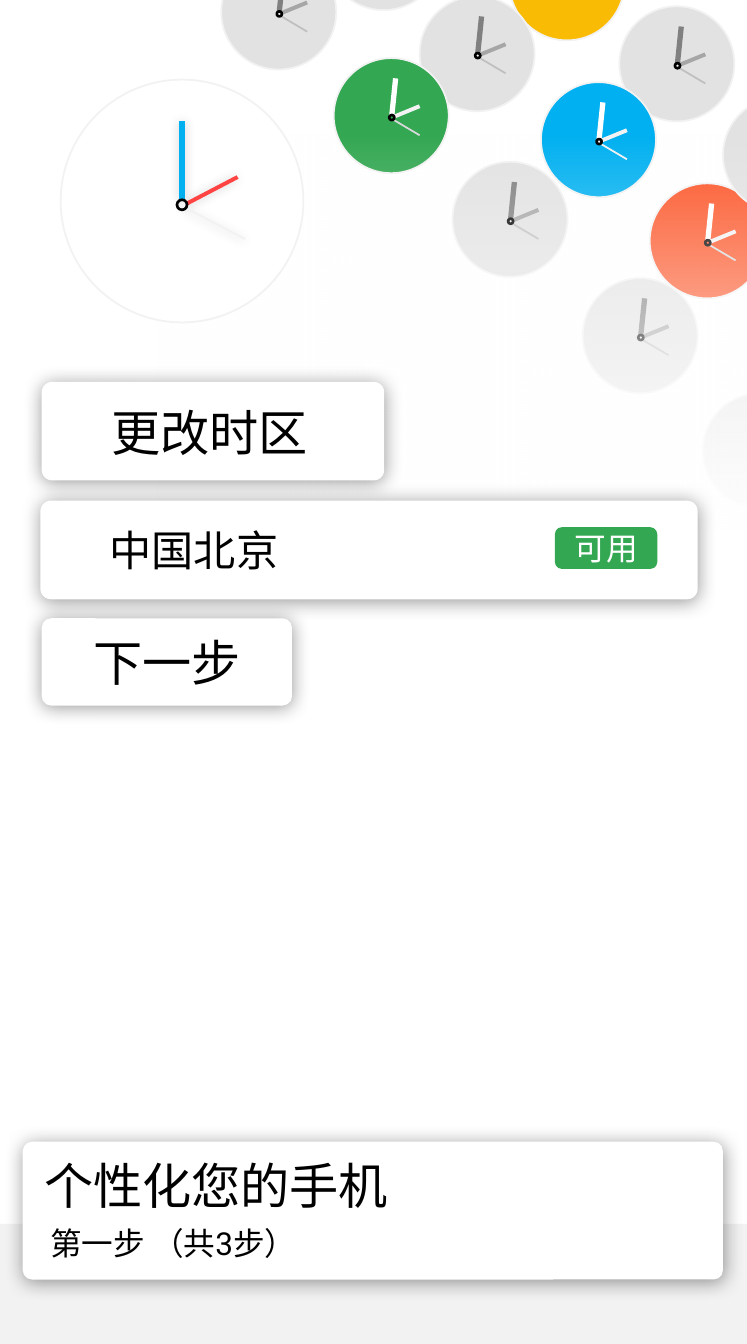
import pptx
import pptx.util
import pptx.dml.color
import pptx.enum.shapes
import pptx.enum.text
import pptx.oxml
import pptx.oxml.ns
from lxml import etree

Inches = pptx.util.Inches
SHAPE = pptx.enum.shapes.MSO_SHAPE
ALIGN = pptx.enum.text.PP_ALIGN

FONT = "Roboto"
SIZE = (5.91, 10.63)
COLORS = {
    "white": "FFFFFF", "black": "000000", "pale": "F2F2F2", "face": "E2E2E2",
    "silver": "D9D9D9", "light": "BFBFBF", "mid": "A6A6A6", "dark": "808080",
    "blue": "00B0F0", "yellow": "FABB05", "orange": "FC5528", "green": "33A752", "red": "FF4343",
}
GREY = ("dark", "mid", "light", "pale")
BLUE = ("white", "pale", "pale", "pale")
ORANGE = ("white", "pale", "silver", "orange")
GREEN = ("white", "pale", "silver", "green")
DIAL = 0.91
SMALL_CLOCKS = [
    (4.9, 0.05, "face", GREY), (4.28, 0.65, "blue", BLUE), (4.03, -0.59, "yellow", None),
    (3.32, -0.03, "face", GREY), (5.14, 1.45, "orange", ORANGE), (5.72, 0.77, "face", None),
    (2.64, 0.46, "green", GREEN), (3.58, 1.28, "face", GREY), (1.75, -0.36, "face", GREY),
    (2.58, -0.83, "face", None), (4.61, 2.2, "face", GREY), (5.56, 3.11, "face", None),
]
SMALL_HANDS = [(0.49, 0.16, 0.46, 0.45), (0.46, 0.47, 0.68, 0.38), (0.46, 0.48, 0.68, 0.61)]
BIG_CLOCK = (0.48, 0.63, "white", ("blue", "red", "pale", "pale"))
BIG_DIAL = 1.92
BIG_HANDS = [(0.96, 0.33, 0.96, 0.95), (0.98, 0.99, 1.4, 0.77), (0.98, 1.01, 1.46, 1.26)]
BIG_SHADOWS = [(20, 6, 0, 315), (20, 6, 1, 135), (20, 6, 1, 135)]
HAND_WIDTHS = (3, 2.25, 1)
FADE = (1.23, 1.06, SIZE[0] - 1.23, 3.12)
CARD_SHADOW = (40, 11, 1, 90)
CARDS = [
    (0.33, 3.02, 2.71, 0.78, 0.107, ""),
    (0.32, 3.96, 5.2, 0.78, 0.107, ""),
    (0.33, 4.89, 1.98, 0.69, 0.107, "下一步"),
]
STEP_CARD = (0.18, 9.03, 5.54, 1.09, 0.068, "")
FOOTER = (0, 9.68, SIZE[0], 0.95)
BADGE = (4.39, 4.17, 0.81, 0.33)
LABELS = [
    (0.78, 3.13, 2.12, 0.57, "更改时区", 28),
    (0.77, 4.1, 4.04, 0.5, "中国北京", 24),
    (0.25, 9.09, 3.18, 0.57, "个性化您的手机", 28),
    (0.3, 9.63, 2.3, 0.4, "第一步 （共3步）", 18),
]


def rgb(name):
    return pptx.dml.color.RGBColor.from_string(COLORS[name])


def add_effects(s, shadow=None):
    qn = pptx.oxml.ns.qn
    for old in s._element.spPr.findall(qn("a:effectLst")):
        s._element.spPr.remove(old)
    effects = etree.SubElement(s._element.spPr, qn("a:effectLst"))
    if shadow:
        alpha, blur, dist, angle = shadow
        outer = etree.SubElement(effects, qn("a:outerShdw"), blurRad=str(blur * 12700),
                                 dist=str(dist * 12700), dir=str(angle * 60000),
                                 algn="ctr", rotWithShape="0")
        color = etree.SubElement(outer, qn("a:srgbClr"), val=COLORS["black"])
        etree.SubElement(color, qn("a:alpha"), val=str(alpha * 1000))


def add_block(shapes, kind, box, fill, line=None, width=1):
    s = shapes.add_shape(kind, *map(Inches, box))
    s.shadow.inherit = False
    s.fill.solid()
    s.fill.fore_color.rgb = rgb(fill)
    if line:
        s.line.color.rgb = rgb(line)
        s.line.width = pptx.util.Pt(width)
    else:
        s.line.fill.background()
    return s


def write(s, text, size, color="black", align=None):
    tf = s.text_frame
    tf.text = text
    p = tf.paragraphs[0]
    p.alignment = align
    r = p.runs[0]
    r.font.name = FONT
    r.font.size = pptx.util.Pt(size)
    r.font.color.rgb = rgb(color)
    return tf


def write_centred(s, text, size, color):
    tf = write(s, text, size, color, ALIGN.CENTER)
    tf.vertical_anchor = pptx.enum.text.MSO_ANCHOR.MIDDLE


def add_clock(slide, clock, dial, hands, hub, hub_at, shadows=(None, None, None)):
    x, y, face, colors = clock
    shapes = slide.shapes.add_group_shape().shapes if colors else slide.shapes
    add_block(shapes, SHAPE.OVAL, (x, y, dial, dial), face, "pale")
    if not colors:
        return
    for (x1, y1, x2, y2), color, width, shadow in zip(hands, colors, HAND_WIDTHS, shadows):
        ends = map(Inches, (x + x1, y + y1, x + x2, y + y2))
        s = shapes.add_connector(pptx.enum.shapes.MSO_CONNECTOR.STRAIGHT, *ends)
        s.line.color.rgb = rgb(color)
        s.line.width = pptx.util.Pt(width)
        add_effects(s, shadow)
    hub_box = (x + hub_at[0], y + hub_at[1], hub, hub)
    add_block(shapes, SHAPE.OVAL, hub_box, colors[3], "black", 1.5)


def add_fade(slide):
    s = add_block(slide.shapes, SHAPE.RECTANGLE, FADE, "white")
    s.fill.gradient()
    s.fill.gradient_angle = 90
    for stop, position in zip(s.fill.gradient_stops, (0, 1)):
        stop.position = position
        stop.color.rgb = rgb("white")
    qn = pptx.oxml.ns.qn
    clear = s._element.spPr.findall(".//" + qn("a:srgbClr"))[-1]
    etree.SubElement(clear, qn("a:alpha"), val="0")


def add_card(slide, card):
    *box, corner, text = card
    s = add_block(slide.shapes, SHAPE.ROUNDED_RECTANGLE, box, "white")
    s.adjustments[0] = corner
    add_effects(s, CARD_SHADOW)
    if text:
        write_centred(s, text, 28, "black")


def add_label(slide, label):
    *box, text, size = label
    s = slide.shapes.add_textbox(*map(Inches, box))
    write(s, text, size).word_wrap = False


def main():
    prs = pptx.Presentation()
    prs.slide_width, prs.slide_height = map(Inches, SIZE)
    slide = prs.slides.add_slide(prs.slide_layouts[6])
    for clock in SMALL_CLOCKS:
        add_clock(slide, clock, DIAL, SMALL_HANDS, 0.04, (0.44, 0.45))
    add_fade(slide)
    add_clock(slide, BIG_CLOCK, BIG_DIAL, BIG_HANDS, 0.08, (0.92, 0.95), BIG_SHADOWS)
    for card in CARDS:
        add_card(slide, card)
    badge = add_block(slide.shapes, SHAPE.ROUNDED_RECTANGLE, BADGE, "green")
    write_centred(badge, "可用", 18, "white")
    add_block(slide.shapes, SHAPE.RECTANGLE, FOOTER, "pale")
    add_card(slide, STEP_CARD)
    for label in LABELS:
        add_label(slide, label)
    prs.save("out.pptx")


if __name__ == "__main__":
    main()
